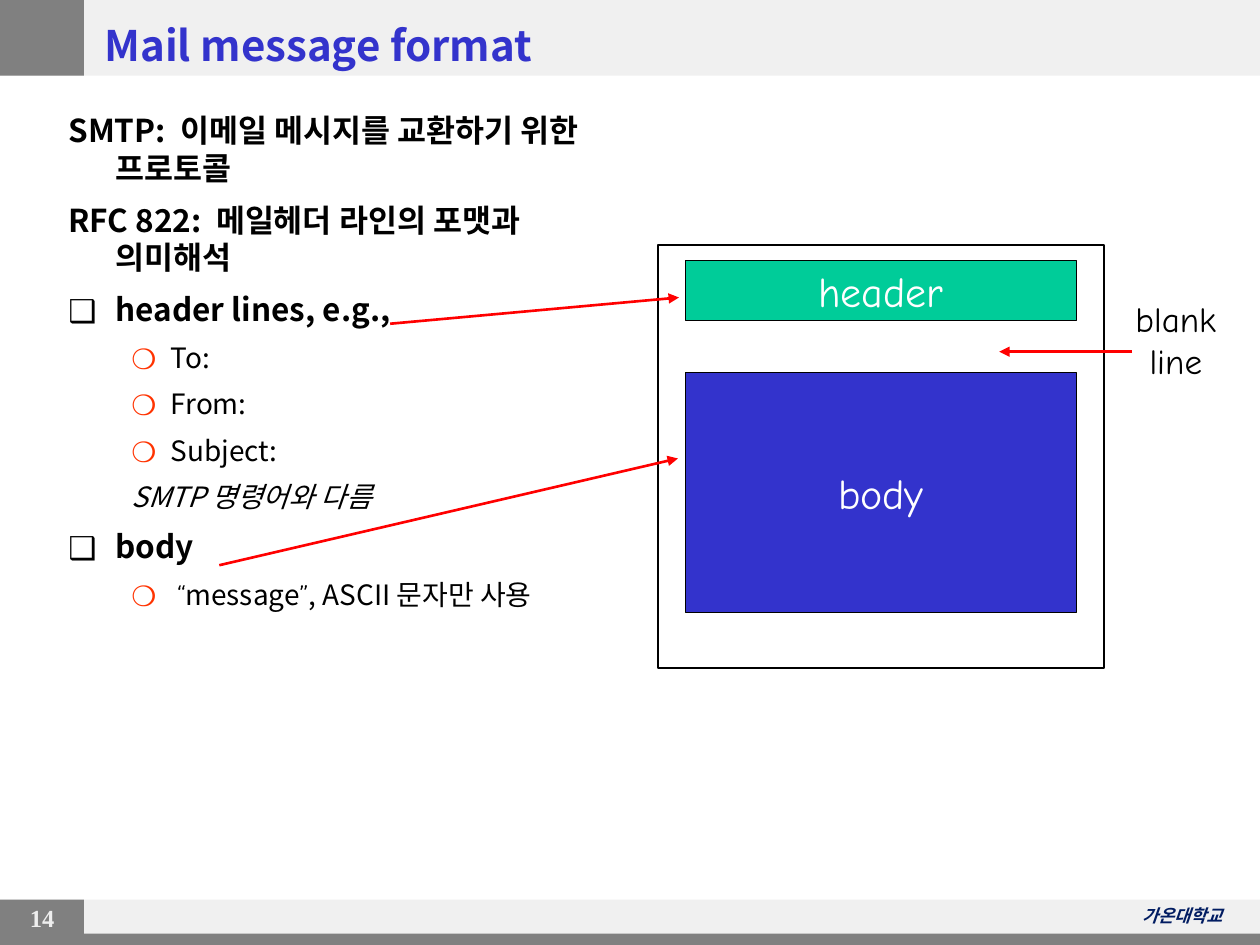
"""Build the slide on the mail message format."""
from lxml.etree import SubElement
from pptx import Presentation
from pptx.dml.color import RGBColor
from pptx.enum.shapes import MSO_CONNECTOR, MSO_SHAPE
from pptx.enum.text import MSO_ANCHOR, PP_ALIGN
from pptx.oxml.ns import qn
from pptx.util import Pt

SANS, COMIC, TIMES = "Noto Sans CJK KR", "Comic Neue", "Times New Roman"
HUES = {"pale": "F0F0F0", "gray": "808080", "blue": "3333CC", "green": "00CC99",
        "red": "FF0000", "mark": "FF3300", "navy": "011C61", "dim": "EEEEEE",
        "black": "000000", "white": "FFFFFF"}
LEFT, CENTER, RIGHT = PP_ALIGN.LEFT, PP_ALIGN.CENTER, PP_ALIGN.RIGHT
TOP, MID = MSO_ANCHOR.TOP, MSO_ANCHOR.MIDDLE

BANDS = [
    ((0, 514, 720, 26), "pale"),
    ((0, 514, 48, 26), "gray"),
    ((0, 0, 720, 43.2), "pale"),
    ((0, 0, 48, 43.2), "gray"),
    ((0, 533.5, 720, 6.5), "gray"),
]
LABELS = [
    ((2.9, 512.6, 42.5, 23.8), ["14"], (14, TIMES, "dim", True, False), CENTER, TOP, True),
    ((586.8, 513.7, 118.8, 19.4), ["가온대학교"], (10, SANS, "navy", True, True), RIGHT, TOP, True),
    ((52.6, 5, 635, 41), ["Mail message format"], (24, SANS, "blue", True, False), LEFT, MID, True),
    ((640.2, 166.3, 63.4, 55.4), ["blank", "line"], (20, COMIC, "black", False, False),
     CENTER, TOP, False),
]
BODY = (32, 59.8, 322.6, 436.3)
ITEMS = [
    (0, "", False, [("SMTP:  이메일 메시지를 교환하기 위한 프로토콜", SANS)]),
    (0, "", False, [("RFC 822:  메일헤더 라인의 포맷과 의미해석", SANS)]),
    (0, "❑", False, [("header lines, e.g.,", SANS)]),
    (1, "❍", False, [("To:", SANS)]),
    (1, "❍", False, [("From:", SANS)]),
    (1, "❍", False, [("Subject:", SANS)]),
    (1, "", True, [("SMTP 명령어와 다름", SANS)]),
    (0, "❑", False, [("body", SANS)]),
    (1, "❍", False, [(" ", SANS), ("“", COMIC), ("message", SANS), ("”", COMIC),
                     (", ASCII 문자만 사용", SANS)]),
]
LEVELS = [(18, 27, -27), (16, 58.5, -22.5)]
PARTS = [("header", 149, 34, "green"), ("body", 213, 137, "blue")]
FRAME = (376, 139.8, 255, 242)
ARROWS = [((223, 185), (388, 170)), ((125.3, 323), (387.4, 262)), ((647, 201), (571, 201))]


def color(name):
    return RGBColor.from_string(HUES[name])


def write(para, text, size, face, hue, bold, slant):
    run = para.add_run()
    run.text = text
    font = run.font
    font.size, font.name, font.bold, font.italic = Pt(size), face, bold, slant
    font.color.rgb = color(hue)
    font._element.set("kern", "0")
    SubElement(font._element, qn("a:ea"), typeface=face)


def fill(frame, lines, style, align, anchor, wrap):
    frame.word_wrap, frame.vertical_anchor = wrap, anchor
    for i, line in enumerate(lines):
        para = frame.add_paragraph() if i else frame.paragraphs[0]
        para.alignment = align
        write(para, line, *style)


def box(shapes, spot, hue=None, line=0):
    shape = shapes.add_shape(MSO_SHAPE.RECTANGLE, *map(Pt, spot))
    shape.shadow.inherit = False
    if hue:
        shape.fill.solid()
        shape.fill.fore_color.rgb = color(hue)
    else:
        shape.fill.background()
    if line:
        shape.line.color.rgb = color("black")
        shape.line.width = Pt(line)
    else:
        shape.line.fill.background()
    return shape


def bullet(para, level, mark):
    _, margin, indent = LEVELS[level]
    props = para._p.get_or_add_pPr()
    props.set("marL", str(Pt(margin)))
    props.set("indent", str(Pt(indent)))
    if not mark:
        SubElement(props, qn("a:buNone"))
        return
    tint = SubElement(props, qn("a:buClr"))
    SubElement(tint, qn("a:srgbClr"), val=HUES["mark" if level else "black"])
    SubElement(props, qn("a:buFont"), typeface=SANS)
    SubElement(props, qn("a:buChar"), char=mark)


def outline(shapes):
    frame = shapes.add_textbox(*map(Pt, BODY)).text_frame
    frame.word_wrap = True
    for i, (level, mark, slant, runs) in enumerate(ITEMS):
        para = frame.add_paragraph() if i else frame.paragraphs[0]
        size = LEVELS[level][0]
        para.level, para.line_spacing = level, 1.0
        para.space_before = Pt(size * 0.45)
        bullet(para, level, mark)
        for text, face in runs:
            write(para, text, size, face, "black", level == 0, slant)


def arrow(shapes, start, end):
    link = shapes.add_connector(MSO_CONNECTOR.STRAIGHT, *map(Pt, start + end))
    link.line.color.rgb = color("red")
    link.line.width = Pt(1.5)
    SubElement(link.line._get_or_add_ln(), qn("a:tailEnd"), type="triangle")
    SubElement(link._element.spPr, qn("a:effectLst"))


def main():
    deck = Presentation()
    deck.slide_width, deck.slide_height = Pt(720), Pt(540)
    shapes = deck.slides.add_slide(deck.slide_layouts[6]).shapes
    for spot, hue in BANDS:
        box(shapes, spot, hue)
    for spot, *rest in LABELS:
        fill(shapes.add_textbox(*map(Pt, spot)).text_frame, *rest)
    outline(shapes)
    for name, top, height, hue in PARTS:
        part = box(shapes, (391.8, top, 223.2, height), hue, 0.75)
        fill(part.text_frame, [name], (24, COMIC, "white", False, False), CENTER, MID, False)
    box(shapes, FRAME, line=1)
    for start, end in ARROWS:
        arrow(shapes, start, end)
    deck.save("out.pptx")


if __name__ == "__main__":
    main()
